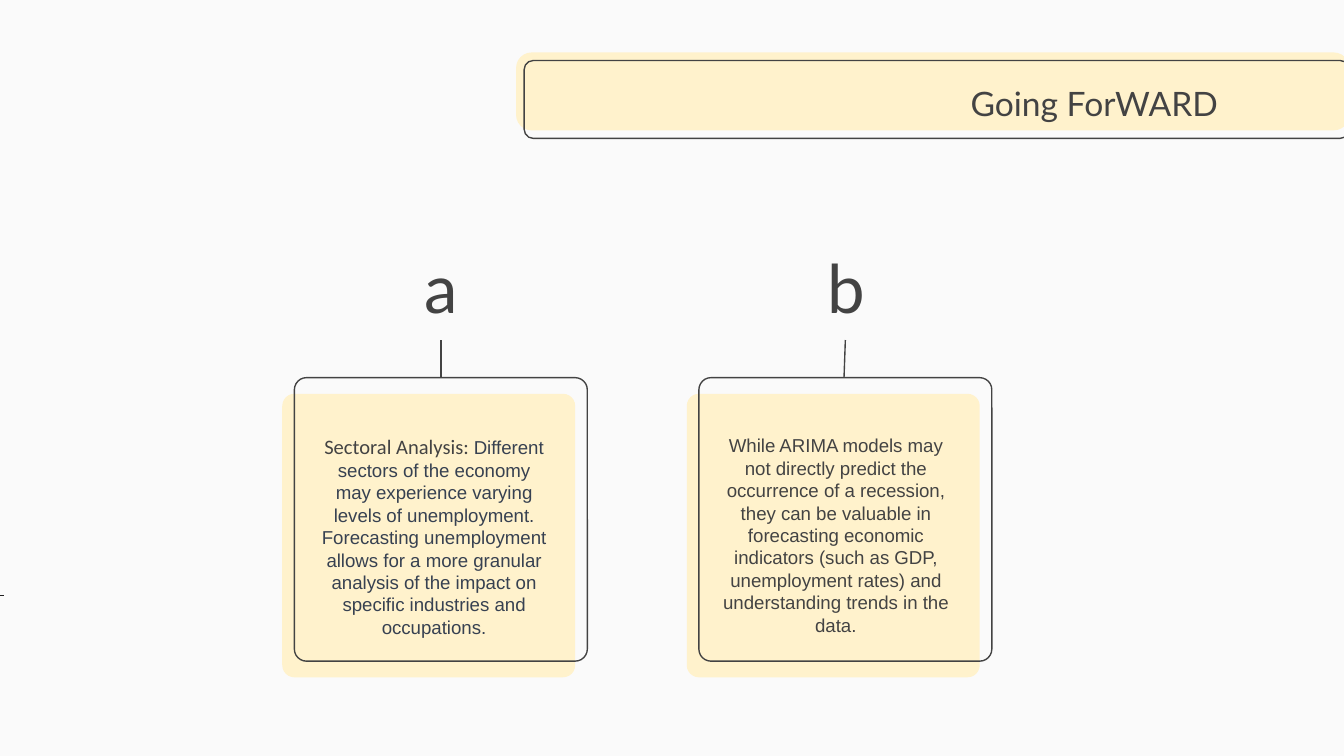
"""Build the "Going ForWARD" slide with two lettered text cards."""
from dataclasses import dataclass

from lxml import etree
from pptx import Presentation
from pptx.dml.color import RGBColor as RGB
from pptx.enum.shapes import MSO_CONNECTOR as CONN, MSO_SHAPE as SHAPE
from pptx.enum.text import MSO_ANCHOR as ANCHOR, PP_ALIGN as ALIGN
from pptx.oxml.ns import qn
from pptx.util import Inches, Pt


@dataclass(frozen=True)
class Theme:
    back: str = "FAFAFA"
    panel: str = "FFF2CC"
    ink: str = "434343"
    slate: str = "374151"
    dash: str = "1F1F1F"
    display: str = "Lato"
    lead: str = "Calibri"
    body: str = "Arial"
    title_size: float = 18
    letter_size: float = 36
    lead_size: float = 11
    body_size: float = 10
    line: float = 0.75
    hairline: float = 0.3
    inset: float = 0.1
    body_inset: float = 0.18


class Deck:
    def __init__(self, theme):
        self.theme = theme
        self.prs = Presentation()
        self.prs.slide_width = Inches(10)
        self.prs.slide_height = Inches(10) * 9 // 16
        self.s = self.prs.slides.add_slide(self.prs.slide_layouts[6])
        fill = self.s.background.fill
        fill.solid()
        fill.fore_color.rgb = RGB.from_string(theme.back)

    def panel(self, x, y, w, h, radius, filled):
        sp = self.s.shapes.add_shape(SHAPE.ROUNDED_RECTANGLE, *map(Inches, (x, y, w, h)))
        sp.adjustments[0] = radius
        sp.shadow.inherit = False
        if filled:
            sp.fill.solid()
            sp.fill.fore_color.rgb = RGB.from_string(self.theme.panel)
            sp.line.fill.background()
        else:
            sp.fill.background()
            sp.line.color.rgb = RGB.from_string(self.theme.ink)
            sp.line.width = Pt(self.theme.line)

    def line(self, x1, y1, x2, y2, color, width):
        cx = self.s.shapes.add_connector(CONN.STRAIGHT, *map(Inches, (x1, y1, x2, y2)))
        cx.line.color.rgb = RGB.from_string(color)
        cx.line.width = Pt(width)
        etree.SubElement(cx._element.spPr, qn("a:effectLst"))

    def text(self, x, y, w, h, runs, align=ALIGN.CENTER, anchor=ANCHOR.TOP, right=None):
        sp = self.s.shapes.add_textbox(*map(Inches, (x, y, w, h)))
        tf = sp.text_frame
        tf.word_wrap = True
        tf.vertical_anchor = anchor
        tf.margin_left = tf.margin_top = tf.margin_bottom = Inches(self.theme.inset)
        tf.margin_right = Inches(right or self.theme.inset)
        p = tf.paragraphs[0]
        p.alignment = align
        for words, font, size, color in runs:
            r = p.add_run()
            r.text = words
            r.font.name, r.font.size = font, Pt(size)
            r.font.color.rgb = RGB.from_string(color)

    def card(self, x, letter, letter_x, stem, body_x, runs):
        t = self.theme
        self.panel(x, 2.93, 2.18, 2.11, 0.043, True)
        self.panel(x + 0.09, 2.81, 2.18, 2.11, 0.043, False)
        self.line(stem[0], 2.53, stem[1], 2.81, t.ink, t.line)
        self.text(letter_x, 1.66, 1.56, 0.87,
                  [(letter, t.display, t.letter_size, t.ink)], anchor=ANCHOR.BOTTOM)
        self.text(body_x, 3.13, 2, 1.83, runs, right=t.body_inset)


def main():
    t = Theme()
    deck = Deck(t)
    deck.panel(3.84, 0.39, 6.2, 0.58, 0.199, True)
    deck.panel(3.9, 0.45, 6.14, 0.58, 0.119, False)
    deck.text(5.67, 0.5, 3.49, 0.53, [("Going ForWARD", t.display, t.title_size, t.ink)],
              ALIGN.RIGHT, ANCHOR.MIDDLE)
    deck.line(0, 4.43, 0.03, 4.43, t.dash, t.hairline)
    sectoral = [
        ("Sectoral Analysis: ", t.lead, t.lead_size, t.ink),
        ("Different sectors of the economy may experience varying levels of unemployment. "
         "Forecasting unemployment allows for a more granular analysis of the impact on "
         "specific industries and occupations.", t.body, t.body_size, t.slate),
    ]
    arima = [
        ("While ARIMA models may not directly predict the occurrence of a recession, they "
         "can be valuable in forecasting economic indicators (such as GDP, unemployment "
         "rates) and understanding trends in the data.", t.body, t.body_size, t.ink),
    ]
    deck.card(2.1, "a", 2.5, (3.28, 3.28), 2.27, sectoral)
    deck.card(5.11, "b", 5.52, (6.29, 6.28), 5.26, arima)
    deck.prs.save("out.pptx")


if __name__ == "__main__":
    main()
